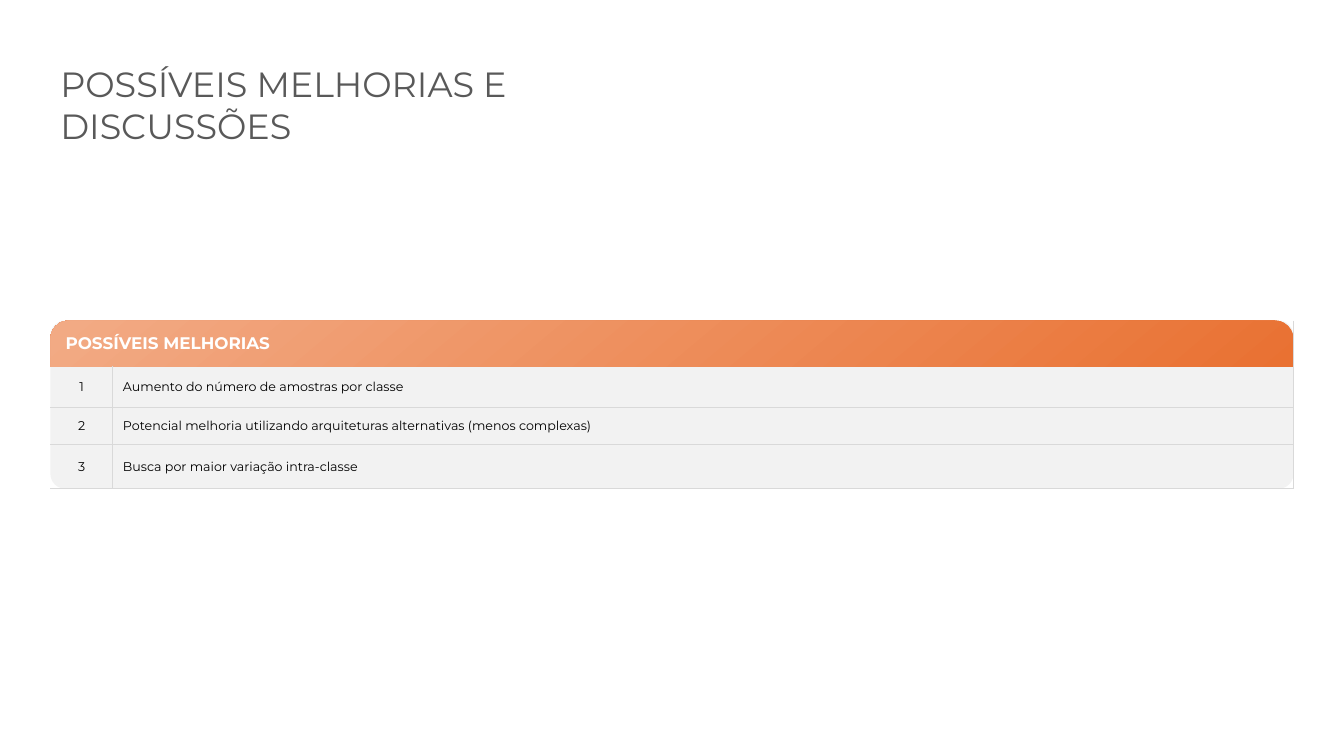
from lxml import etree
from pptx import Presentation
from pptx.dml.color import RGBColor
from pptx.enum.shapes import MSO_SHAPE
from pptx.enum.text import MSO_ANCHOR, MSO_AUTO_SIZE, PP_ALIGN
from pptx.oxml.ns import qn
from pptx.util import Inches, Pt

ROUNDED = MSO_SHAPE.ROUNDED_RECTANGLE
ROUNDED_TOP = MSO_SHAPE.ROUND_2_SAME_RECTANGLE
MIDDLE = MSO_ANCHOR.MIDDLE
LEFT, CENTER = PP_ALIGN.LEFT, PP_ALIGN.CENTER
FIT_SHAPE = MSO_AUTO_SIZE.SHAPE_TO_FIT_TEXT

FONT = "Montserrat"
COLORS = {
    "title": "595959",
    "text": "000000",
    "header_text": "FFFFFF",
    "panel": "F2F2F2",
    "border": "D9D9D9",
    "orange": "E97132",
    "light_orange": "F2AA84",
}
PANEL_LEFT, PANEL_TOP, PANEL_WIDTH, PANEL_HEIGHT = 0.5, 3.18, 12.33, 1.67
HEADER_HEIGHT = 0.46
COLUMN_WIDTHS = [0.62, 11.71]
ROW_HEIGHTS = [0.45, 0.41, 0.37, 0.44]
IMPROVEMENTS = [
    "Aumento do número de amostras por classe",
    "Potencial melhoria utilizando arquiteturas alternativas (menos complexas)",
    "Busca por maior variação intra-classe",
]


def color(name):
    return RGBColor.from_string(COLORS[name])


def write_text(text_frame, text, size, color_name, bold=False):
    text_frame.text = text
    font = text_frame.paragraphs[0].runs[0].font
    font.name = FONT
    font.size = Pt(size)
    font.bold = bold
    font.color.rgb = color(color_name)


def add_title(slide, text):
    box = slide.shapes.add_textbox(Inches(0.5), Inches(0.57), Inches(4.69), Inches(0.94))
    box.text_frame.word_wrap = True
    box.text_frame.auto_size = FIT_SHAPE
    write_text(box.text_frame, text, 25, "title")


def add_panel(slide, kind, height, corner):
    shape = slide.shapes.add_shape(
        kind, Inches(PANEL_LEFT), Inches(PANEL_TOP), Inches(PANEL_WIDTH), Inches(height)
    )
    shape.adjustments[0] = corner
    shape.shadow.inherit = False
    shape.line.fill.background()
    return shape


def fill_gradient(shape):
    shape.fill.gradient()
    shape.fill.gradient_angle = 130
    stops = zip(shape.fill.gradient_stops, [(0, "orange"), (0.99, "light_orange")])
    for stop, (position, name) in stops:
        stop.position = position
        stop.color.rgb = color(name)


def set_borders(cell, visible):
    properties = cell._tc.get_or_add_tcPr()
    for side in "LRTB":
        line = etree.SubElement(properties, qn(f"a:ln{side}"), w=str(Pt(0.75)))
        if side in visible:
            fill = etree.SubElement(line, qn("a:solidFill"))
            etree.SubElement(fill, qn("a:srgbClr"), val=COLORS["border"])
        else:
            etree.SubElement(line, qn("a:noFill"))


def format_cell(cell, borders, margins):
    set_borders(cell, borders)
    cell.fill.background()
    cell.vertical_anchor = MIDDLE
    cell.margin_left, cell.margin_top, cell.margin_right, cell.margin_bottom = map(Inches, margins)


def add_improvements_table(slide, header, items):
    table = slide.shapes.add_table(
        len(ROW_HEIGHTS), len(COLUMN_WIDTHS), Inches(PANEL_LEFT), Inches(PANEL_TOP),
        Inches(PANEL_WIDTH), Inches(PANEL_HEIGHT),
    ).table
    table.first_row = table.horz_banding = False
    for column, width in zip(table.columns, COLUMN_WIDTHS):
        column.width = Inches(width)
    for row, height in zip(table.rows, ROW_HEIGHTS):
        row.height = Inches(height)

    # Header across both columns
    table.cell(0, 0).merge(table.cell(0, 1))
    for cell in table.rows[0].cells:
        format_cell(cell, "R", (0.15, 0.05, 0, 0.05))
    write_text(table.cell(0, 0).text_frame, header, 12, "header_text", bold=True)

    # Numbered items
    for number, item in enumerate(items, start=1):
        top = "T" if number > 1 else ""
        columns = [(str(number), CENTER, "RB"), (item, LEFT, "LRB")]
        for index, (text, alignment, sides) in enumerate(columns):
            cell = table.cell(number, index)
            format_cell(cell, sides + top, (0.1, 0.03, 0.1, 0.05))
            write_text(cell.text_frame, text, 9, "text")
            paragraph = cell.text_frame.paragraphs[0]
            paragraph.alignment = alignment
            paragraph.line_spacing = Pt(13)


def main():
    presentation = Presentation()
    presentation.slide_width = Inches(13.33)
    presentation.slide_height = Inches(7.5)
    slide = presentation.slides.add_slide(presentation.slide_layouts[6])

    add_title(slide, "POSSÍVEIS MELHORIAS E DISCUSSÕES")

    # Rounded background and gradient header behind the table
    panel = add_panel(slide, ROUNDED, PANEL_HEIGHT, 0.09)
    panel.fill.solid()
    panel.fill.fore_color.rgb = color("panel")
    fill_gradient(add_panel(slide, ROUNDED_TOP, HEADER_HEIGHT, 0.4))

    add_improvements_table(slide, "POSSÍVEIS MELHORIAS", IMPROVEMENTS)
    presentation.save("out.pptx")


if __name__ == "__main__":
    main()
